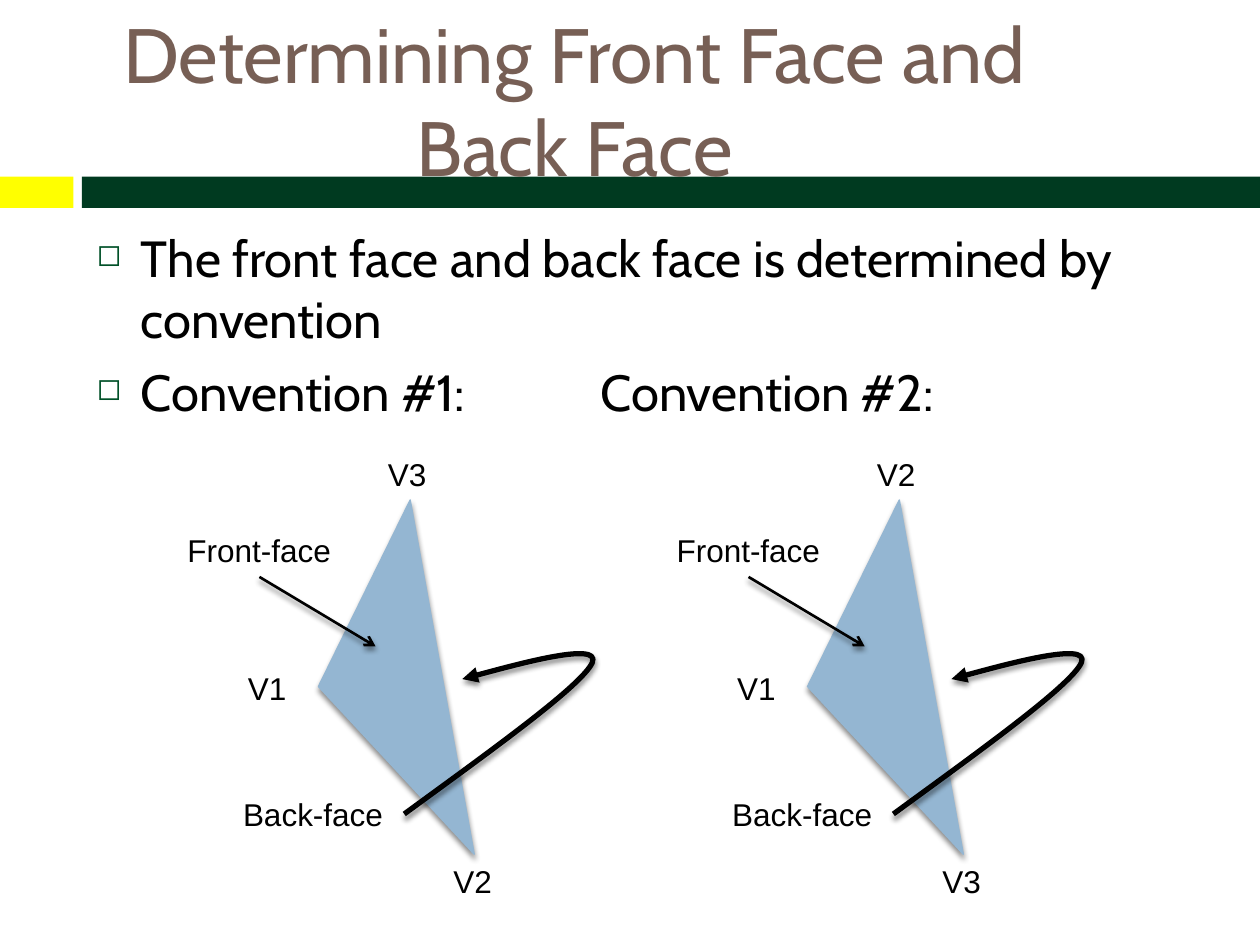
from lxml import etree
from pptx import Presentation
from pptx import util as u
from pptx.dml.color import RGBColor
from pptx.enum import shapes, text
from pptx.oxml import parse_xml
from pptx.oxml.ns import nsdecls, qn

YELLOW = RGBColor(0xFF, 0xFF, 0x00)
GREEN = RGBColor(0x00, 0x3A, 0x20)
BROWN = RGBColor(0x77, 0x5F, 0x55)
BLUE = RGBColor(0x94, 0xB6, 0xD2)
BLACK = RGBColor(0x00, 0x00, 0x00)
BULLET_GREEN = RGBColor(0x00, 0x51, 0x28)

SHADOW = (
    f'<a:effectLst {nsdecls("a")}>'
    '<a:outerShdw blurRad="40000" dist="30000" dir="5400000" rotWithShape="0">'
    '<a:srgbClr val="000000"><a:alpha val="45000"/></a:srgbClr>'
    '</a:outerShdw></a:effectLst>'
)
BULLET = (
    f'<a:buClr {nsdecls("a")}><a:srgbClr val="{BULLET_GREEN}"/></a:buClr>',
    f'<a:buSzPct {nsdecls("a")} val="60000"/>',
    f'<a:buChar {nsdecls("a")} char="◻"/>',
)


def style_font(para, name, size, colour):
    para.font.name = name
    para.font.size = u.Pt(size)
    para.font.color.rgb = colour


def add_bar(page, left, width, colour):
    bar = page.shapes.add_shape(
        shapes.MSO_SHAPE.RECTANGLE, u.Cm(left), u.Cm(3.56), u.Cm(width), u.Cm(0.63))
    bar.shadow.inherit = False
    bar.fill.solid()
    bar.fill.fore_color.rgb = colour
    bar.line.fill.background()


def add_box(parent, left, top, width, height):
    return parent.shapes.add_textbox(u.Cm(left), u.Cm(top), u.Cm(width), u.Cm(height))


def add_title(page, words):
    frame = add_box(page, 1.7, 0.63, 19.76, 2.74).text_frame
    frame.word_wrap = True
    frame.vertical_anchor = text.MSO_ANCHOR.MIDDLE
    frame.text = words
    para = frame.paragraphs[0]
    para.alignment = text.PP_ALIGN.CENTER
    style_font(para, "Cabin", 44, BROWN)


def add_bullets(page, lines):
    frame = add_box(page, 1.7, 4.44, 22.66, 12.5).text_frame
    frame.word_wrap = True
    frame.text = "\n".join(lines)
    for index, para in enumerate(frame.paragraphs):
        properties = para._p.get_or_add_pPr()
        properties.set("marL", str(u.Cm(0.89)))
        properties.set("indent", str(u.Cm(-0.89)))
        for element in BULLET:
            properties.append(parse_xml(element))
        if index:
            para.space_before = u.Pt(7)
        style_font(para, "Cabin", 29, BLACK)


def add_label(group, words, left, top, width):
    frame = add_box(group, left, top, width, 1.02).text_frame
    frame.word_wrap = False
    frame.auto_size = text.MSO_AUTO_SIZE.SHAPE_TO_FIT_TEXT
    frame.text = words
    style_font(frame.paragraphs[0], "Arial", 18, BLACK)


def finish_line(shape, colour, width, arrowhead=None):
    shape.line.color.rgb = colour
    shape.line.width = u.Pt(width)
    if arrowhead:
        etree.SubElement(shape.line._get_or_add_ln(), qn("a:tailEnd"), type=arrowhead)
    properties = shape._element.spPr
    for effects in properties.findall(qn("a:effectLst")):
        properties.remove(effects)
    properties.append(parse_xml(SHADOW))


def build_outline(group, points, close):
    start, *others = [(u.Cm(x), u.Cm(y)) for x, y in points]
    builder = group.shapes.build_freeform(*start)
    builder.add_line_segments(others, close=close)
    return builder.convert_to_shape()


def add_triangle(group, points):
    triangle = build_outline(group, points, True)
    triangle.fill.solid()
    triangle.fill.fore_color.rgb = BLUE
    finish_line(triangle, BLUE, 0.79)


def add_straight_arrow(group, start, end):
    arrow = group.shapes.add_connector(
        shapes.MSO_CONNECTOR.STRAIGHT, *(u.Cm(value) for value in start + end))
    finish_line(arrow, BLACK, 1.5, "arrow")


def add_curved_arrow(group, anchors, controls):
    curve = build_outline(group, anchors, False)
    curve.fill.background()
    for segment, pair in zip(curve._element.xpath(".//a:lnTo"), controls):
        segment.tag = qn("a:cubicBezTo")
        for index, (x, y) in enumerate(pair):
            point = etree.Element(qn("a:pt"), x=str(u.Cm(x) - curve.left),
                                  y=str(u.Cm(y) - curve.top))
            segment.insert(index, point)
    finish_line(curve, BLACK, 3, "triangle")


def add_convention(page, shift, top_vertex, bottom_vertex):
    group = page.shapes.add_group_shape()

    def moved(*points):
        return [(x + shift, y) for x, y in points]

    add_triangle(group, moved((8.27, 10.08), (6.42, 13.84), (9.56, 17.22)))
    labels = (
        ("V1", 4.75, 13.36, 1.32),
        (bottom_vertex, 8.89, 17.25, 1.32),
        (top_vertex, 7.57, 9.04, 1.32),
        ("Front-face", 3.53, 10.59, 3.43),
        ("Back-face", 4.65, 15.9, 3.35),
    )
    for words, left, top, width in labels:
        add_label(group, words, left + shift, top, width)
    add_straight_arrow(group, *moved((5.23, 11.63), (7.57, 13.03)))
    add_curved_arrow(
        group,
        moved((8.15, 16.41), (11.94, 13.36), (9.32, 13.69)),
        (moved((9.93, 15.11), (11.73, 13.82)), moved((12.14, 12.9), (9.32, 13.69))),
    )


def main():
    deck = Presentation()
    deck.slide_width, deck.slide_height = u.Cm(25.4), u.Cm(19.05)
    page = deck.slides.add_slide(deck.slide_layouts[6])
    add_bar(page, 0, 1.48, YELLOW)
    add_bar(page, 1.65, 23.75, GREEN)
    add_title(page, "Determining Front Face and Back Face")
    add_bullets(page, (
        "The front face and back face is determined by convention",
        "Convention #1:\t\t\tConvention #2:",
    ))
    add_convention(page, 9.86, "V2", "V3")
    add_convention(page, 0, "V3", "V2")
    deck.save("out.pptx")


if __name__ == "__main__":
    main()
